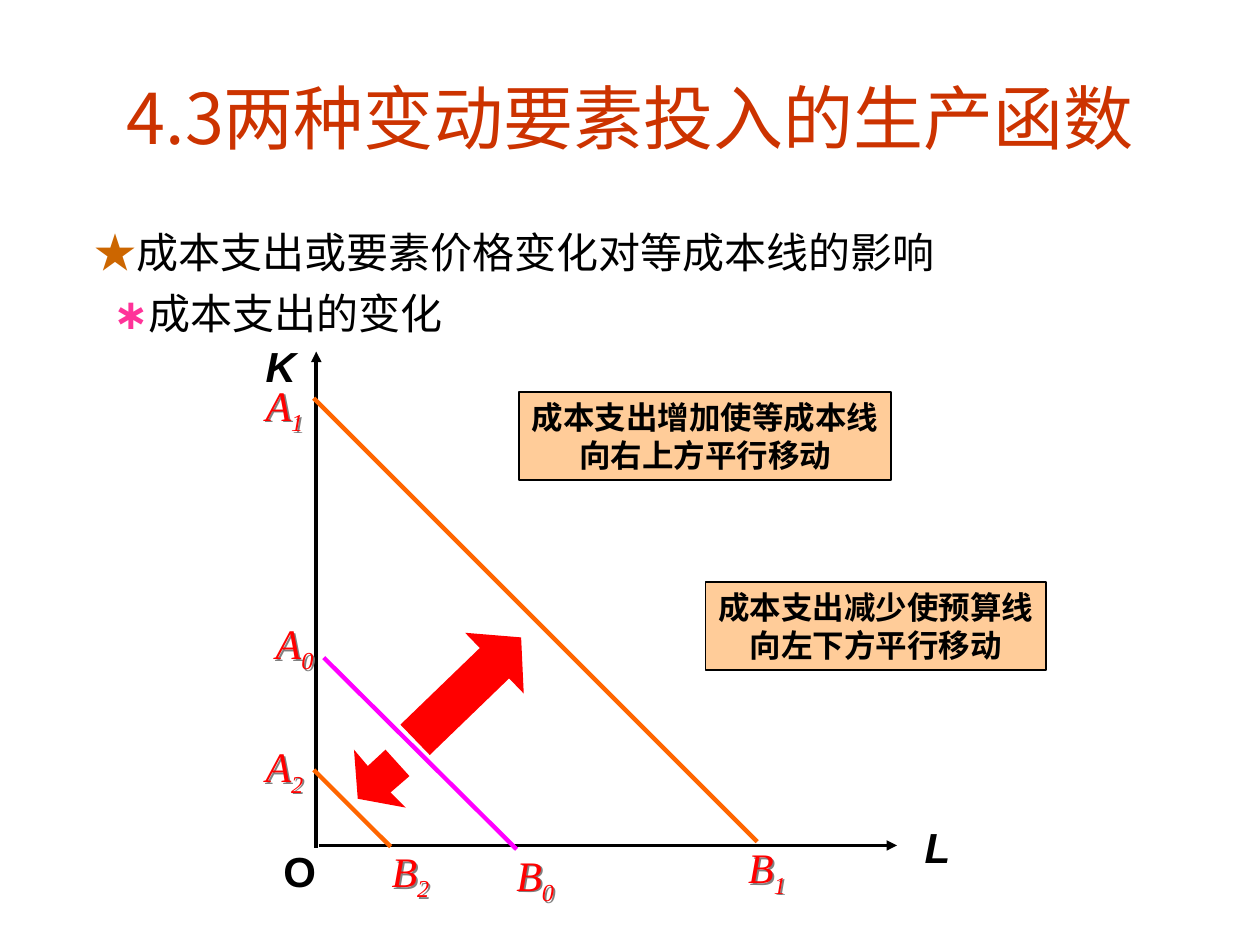
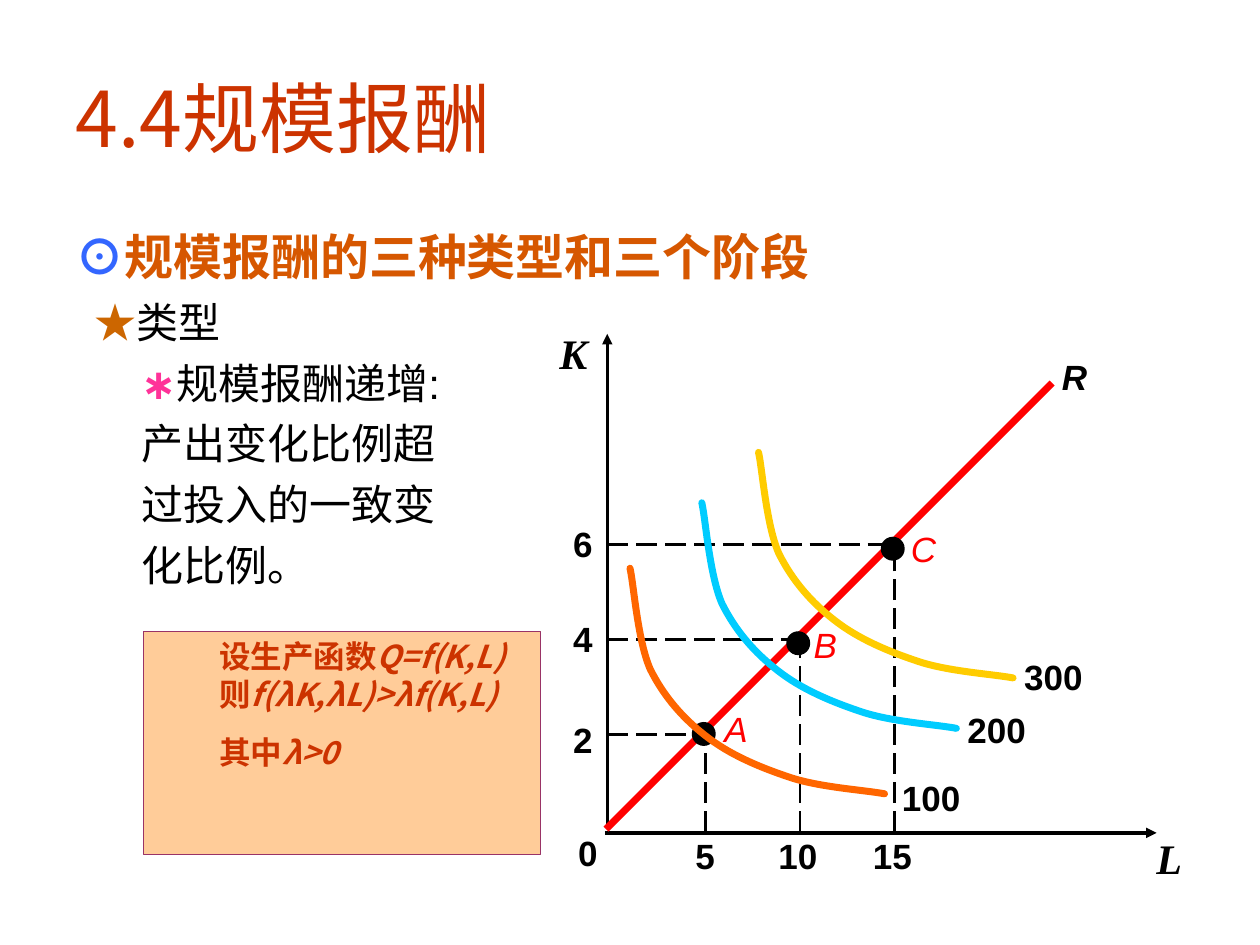
"""Build two slides on isocost shifts and returns to scale."""
from dataclasses import dataclass
from typing import NamedTuple, Optional

import pptx
import pptx.dml.color
import pptx.enum.dml
import pptx.enum.shapes
import pptx.enum.text
import pptx.oxml
import pptx.oxml.ns
import pptx.util
from pptx.util import Inches

MSO_SHAPE = pptx.enum.shapes.MSO_SHAPE
ALIGN = pptx.enum.text.PP_ALIGN
A_NS = 'xmlns:a="http://schemas.openxmlformats.org/drawingml/2006/main"'


@dataclass(frozen=True)
class Theme:
    """Colours, fonts and type sizes shared by the slides."""
    black: str = "000000"
    title: str = "CC3300"
    star: str = "CC6600"
    asterisk: str = "FF3399"
    circle: str = "3366FF"
    heading: str = "D65700"
    red: str = "FF0000"
    orange: str = "FF6600"
    magenta: str = "FF00FF"
    cyan: str = "00CCFF"
    yellow: str = "FFCC00"
    panel: str = "FFCC99"
    panel_edge: str = "993366"
    shadow: str = "808080"
    cjk: str = "Noto Sans CJK SC"
    sans: str = "Arial"
    serif: str = "Times New Roman"
    heading_size: int = 28
    body_size: int = 24
    tick_size: int = 20
    note_size: int = 18
    leading: float = 1.2


T = Theme()


class Run(NamedTuple):
    """A piece of text with one format."""
    text: str
    color: str = T.black
    font: str = T.sans
    bold: bool = False
    italic: bool = False
    sub: bool = False


class Item(NamedTuple):
    """A paragraph with its left indent in inches."""
    runs: list[Run]
    indent: float = 0
    size: int = T.body_size
    before: float = 6


class Label(NamedTuple):
    """A one-line text box."""
    runs: list[Run]
    x: float
    y: float
    w: float
    size: int = T.body_size
    align: Optional[ALIGN] = None
    wrap: bool = False
    spacing: Optional[float] = None
    shadow: bool = False


class Segment(NamedTuple):
    """A straight line between two points."""
    x1: float
    y1: float
    x2: float
    y2: float
    color: str = T.black
    width: float = 2
    dashed: bool = False
    arrow: bool = False


class Panel(NamedTuple):
    """A filled box of notes."""
    x: float
    y: float
    w: float
    h: float
    items: list[Item]
    edge: str = T.black
    edge_width: float = 1
    align: ALIGN = ALIGN.CENTER
    wrap: bool = False


class Mark(NamedTuple):
    """A point on the expansion ray with its tick labels."""
    name: str
    labor: str
    capital: str
    labor_x: float
    capital_y: float
    name_x: float
    name_y: float
    dot_y: float


class Isoquant(NamedTuple):
    """An output curve, shifted from the lowest one."""
    output: str
    dx: float
    dy: float
    color: str
    label_x: float
    label_y: float


def rgb(color: str) -> pptx.dml.color.RGBColor:
    """Turn a hex string into a colour."""
    return pptx.dml.color.RGBColor.from_string(color)


def add_run(p, run: Run, size: int) -> None:
    """Add one formatted run to a paragraph."""
    r = p.add_run()
    r.text = run.text
    f = r.font
    f.size, f.name, f.bold, f.italic = pptx.util.Pt(size), run.font, run.bold, run.italic
    f.color.rgb = rgb(run.color)
    rpr = r._r.get_or_add_rPr()
    rpr.append(pptx.oxml.parse_xml(f'<a:ea {A_NS} typeface="{T.cjk}"/>'))
    if run.sub:
        rpr.set("baseline", "-25000")


def fill_items(tf, items: list[Item], align: ALIGN = ALIGN.LEFT) -> None:
    """Write paragraphs into a text frame."""
    for i, item in enumerate(items):
        p = tf.add_paragraph() if i else tf.paragraphs[0]
        ppr = p._p.get_or_add_pPr()
        ppr.set("marL", str(Inches(item.indent)))
        ppr.set("indent", "0")
        ppr.append(pptx.oxml.parse_xml(f"<a:buNone {A_NS}/>"))
        p.alignment = align
        p.line_spacing = pptx.util.Pt(item.size * T.leading)
        p.space_before = pptx.util.Pt(item.before if i else 0)
        for run in item.runs:
            if run.text == "\v":
                p.add_line_break()
            else:
                add_run(p, run, item.size)


def add_page(prs, title: str, size: int, align: ALIGN, items: list[Item]):
    """Add a slide with its title and list."""
    s = prs.slides.add_slide(prs.slide_layouts[1])
    body = s.placeholders[1]
    for sp, y, h in ((s.shapes.title, 0.3, 1.25), (body, 1.75, 4.95)):
        sp.left, sp.top, sp.width, sp.height = Inches(0.5), Inches(y), Inches(9), Inches(h)
        sp.text_frame.word_wrap = True
        sp.text_frame.auto_size = pptx.enum.text.MSO_AUTO_SIZE.NONE
    p = s.shapes.title.text_frame.paragraphs[0]
    p.alignment = align
    add_run(p, Run(title, T.title, T.cjk), size)
    fill_items(body.text_frame, items)
    return s


def add_label(s, label: Label) -> None:
    """Draw a text box with one line."""
    height = 0.5 if label.size == T.body_size else 0.43
    sp = s.shapes.add_textbox(Inches(label.x), Inches(label.y), Inches(label.w), Inches(height))
    sp.text_frame.word_wrap = label.wrap
    p = sp.text_frame.paragraphs[0]
    p.alignment = label.align
    p.line_spacing = label.spacing
    for run in label.runs:
        add_run(p, run, label.size)
    if label.shadow:
        sp._element.spPr.append(pptx.oxml.parse_xml(
            f'<a:effectLst {A_NS}><a:outerShdw dist="17961" dir="2700000">'
            f'<a:srgbClr val="{T.shadow}"/></a:outerShdw></a:effectLst>'))


def add_segment(s, seg: Segment) -> None:
    """Draw a straight line, dashed or with an arrowhead if asked."""
    c = s.shapes.add_connector(pptx.enum.shapes.MSO_CONNECTOR.STRAIGHT,
                               *map(Inches, (seg.x1, seg.y1, seg.x2, seg.y2)))
    c.line.color.rgb = rgb(seg.color)
    c.line.width = pptx.util.Pt(seg.width)
    if seg.dashed:
        c.line.dash_style = pptx.enum.dml.MSO_LINE.LONG_DASH
    if seg.arrow:
        c.line._get_or_add_ln().append(pptx.oxml.parse_xml(f'<a:tailEnd {A_NS} type="triangle"/>'))
    c._element.spPr.append(pptx.oxml.parse_xml(f"<a:effectLst {A_NS}/>"))


def paint(sp, color: str) -> None:
    """Give a shape a plain fill without line or shadow."""
    sp.shadow.inherit = False
    sp.fill.solid()
    sp.fill.fore_color.rgb = rgb(color)
    sp.line.fill.background()


def add_panel(s, panel: Panel) -> None:
    """Draw a filled box of notes."""
    sp = s.shapes.add_shape(MSO_SHAPE.RECTANGLE, *map(Inches, panel[:4]))
    paint(sp, T.panel)
    sp.line.color.rgb = rgb(panel.edge)
    sp.line.width = pptx.util.Pt(panel.edge_width)
    sp.text_frame.word_wrap = panel.wrap
    sp.text_frame.vertical_anchor = pptx.enum.text.MSO_ANCHOR.TOP
    fill_items(sp.text_frame, panel.items, panel.align)


def add_outline(s, points: list[tuple[float, float]], close: bool):
    """Draw a freeform through points given in inches."""
    start, *rest = [(Inches(x), Inches(y)) for x, y in points]
    fb = s.shapes.build_freeform(*start, scale=1.0)
    fb.add_line_segments(rest, close=close)
    sp = fb.convert_to_shape()
    sp.shadow.inherit = False
    return sp


def add_curve(s, knots: list[tuple[float, float]], color: str) -> None:
    """Draw a chain of cubic curves with round ends."""
    sp = add_outline(s, knots, False)
    steps = list(sp._element.iter(pptx.oxml.ns.qn("a:lnTo")))
    for k in range(0, len(steps), 3):
        cubic = pptx.oxml.parse_xml(f"<a:cubicBezTo {A_NS}/>")
        steps[k].addprevious(cubic)
        for step in steps[k:k + 3]:
            cubic.append(step[0])
            step.getparent().remove(step)
    sp.fill.background()
    sp.line.color.rgb = rgb(color)
    sp.line.width = pptx.util.Pt(4)
    sp.line._get_or_add_ln().set("cap", "rnd")


def axis_labels(font: str, l_at: tuple[float, float], k_at: tuple[float, float]) -> list[Label]:
    """Name the labour and capital axes."""
    return [Label([Run("L", font=font, bold=True, italic=True)], *l_at, 0.4),
            Label([Run("K", font=font, bold=True, italic=True)], *k_at, 0.43, align=ALIGN.RIGHT)]


def tick(text: str, x: float, y: float, italic: bool = False) -> Label:
    """Make a bold label wide enough for its text."""
    return Label([Run(text, bold=True, italic=italic)], x, y, 0.2 + 0.155 * len(text), T.tick_size)


def build_isocost(prs) -> None:
    """Build the slide on shifts of the isocost line."""
    s = add_page(prs, "4.3两种变动要素投入的生产函数", 40, ALIGN.CENTER, [
        Item([Run("★", T.star, T.cjk), Run("成本支出或要素价格变化对等成本线的影响")], 0.15),
        Item([Run("∗", T.asterisk, T.cjk, True), Run("成本支出的变化")], 0.3)])
    for seg in (Segment(2.51, 6.73, 2.51, 2.79, arrow=True), Segment(2.53, 6.71, 7.12, 6.71, arrow=True),
                Segment(2.49, 6.11, 3.1, 6.72, T.orange, 2.5), Segment(2.57, 5.22, 4.1, 6.74, T.magenta, 2.5),
                Segment(2.49, 3.16, 6.01, 6.68, T.orange, 2.5)):
        add_segment(s, seg)
    for label in axis_labels(T.sans, (7.24, 6.47), (2.01, 2.65)):
        add_label(s, label)
    add_label(s, Label([Run("O", bold=True)], 2.15, 6.66, 0.46))
    for name, index, x, y in (("B", "2", 3.01, 6.66), ("A", "2", 2.01, 5.83), ("A", "0", 2.09, 4.85),
                              ("B", "0", 4, 6.69), ("A", "1", 2.01, 2.96), ("B", "1", 5.84, 6.63)):
        letter = Run(name, T.red, T.serif, italic=True)
        add_label(s, Label([letter, letter._replace(text=index, sub=True)], x, y, 0.7, wrap=True, shadow=True))
    paint(add_outline(s, [(2.81, 5.95), (2.92, 6.08), (3.06, 5.95), (3.25, 6.16),
                          (3.1, 6.29), (3.22, 6.41), (2.84, 6.34)], True), T.red)
    increase = s.shapes.add_shape(MSO_SHAPE.LEFT_ARROW, *map(Inches, (3.13, 5.13, 1.17, 0.67)))
    increase.adjustments[0], increase.adjustments[1] = 0.5, 0.44
    increase.rotation = 136
    paint(increase, T.red)
    for x, y, w, lines in ((5.6, 4.62, 2.7, ("成本支出减少使预算线", "向左下方平行移动")),
                           (4.12, 3.11, 2.95, ("成本支出增加使等成本线", "向右上方平行移动"))):
        add_panel(s, Panel(x, y, w, 0.7, [Item([Run(line, bold=True)], 0, T.note_size, 0) for line in lines]))


def build_returns(prs) -> None:
    """Build the slide on increasing returns to scale."""
    s = add_page(prs, "4.4规模报酬", 44, ALIGN.LEFT, [
        Item([Run("⊙", T.circle, T.cjk, True), Run("规模报酬的三种类型和三个阶段", T.heading, bold=True)],
             size=T.heading_size),
        Item([Run("★", T.star, T.cjk), Run("类型")], 0.15),
        Item([Run("∗", T.asterisk, T.cjk, True), Run("规模报酬递增:")], 0.52),
        *(Item([Run(line)], 0.52) for line in ("产出变化比例超", "过投入的一致变", "化比例。"))])
    for seg in (Segment(4.82, 6.58, 4.82, 2.65, arrow=True), Segment(4.8, 6.61, 9.18, 6.61, arrow=True),
                Segment(4.81, 6.58, 8.35, 3.04, T.red, 4)):
        add_segment(s, seg)
    for label in axis_labels(T.serif, (9.08, 6.56), (4.33, 2.55)):
        add_label(s, label)
    add_label(s, tick("0", 4.49, 6.55))
    add_label(s, tick("R", 8.33, 2.77, italic=True))

    marks = [Mark("A", "5", "2", 5.42, 5.65, 5.65, 5.5, 5.73), Mark("B", "10", "4", 6.08, 4.85, 6.36, 4.83, 5.01),
             Mark("C", "15", "6", 6.83, 4.1, 7.13, 4.07, 4.26)]
    for i, mark in enumerate(marks):
        x, y = 5.6 + 0.75 * i, 5.83 - 0.755 * i
        add_segment(s, Segment(4.82, y, x - 0.04, y, width=1.5, dashed=True))
        add_segment(s, Segment(x, 6.6, x, y + 0.03, width=1.5, dashed=True))
        dot = s.shapes.add_shape(MSO_SHAPE.OVAL, *map(Inches, (x - 0.11, mark.dot_y, 0.19, 0.19)))
        paint(dot, T.black)
        add_label(s, tick(mark.labor, mark.labor_x, 6.57))
        add_label(s, tick(mark.capital, 4.45, mark.capital_y))
        add_label(s, Label([Run(mark.name, T.red, italic=True)], mark.name_x, mark.name_y, 0.38,
                           T.tick_size, spacing=1.2))

    lowest = [(5, 4.51), (5.03, 4.64), (5.06, 5.08), (5.16, 5.31), (5.27, 5.53), (5.42, 5.7), (5.6, 5.84),
              (5.79, 5.99), (6.03, 6.09), (6.27, 6.17), (6.51, 6.25), (6.86, 6.27), (7.02, 6.3)]
    for q in (Isoquant("100", 0, 0, T.orange, 7.06, 6.11), Isoquant("200", 0.57, -0.52, T.cyan, 7.58, 5.57),
              Isoquant("300", 1.02, -0.92, T.yellow, 8.03, 5.15)):
        add_curve(s, [(x + q.dx, y + q.dy) for x, y in lowest], q.color)
        add_label(s, tick(q.output, q.label_x, q.label_y))

    words = Run("设生产函数", T.title, T.cjk, True)
    formula = words._replace(italic=True)
    add_panel(s, Panel(1.14, 5.01, 3.15, 1.77, [
        Item([words, formula._replace(text="Q=f(K,L)"), Run("\v"), words._replace(text="则"),
              formula._replace(text="f(λK,λL)>λf(K,L)")], 0.5, T.note_size),
        Item([words._replace(text="其中"), formula._replace(text="λ>0")], 0.5, T.note_size, 11.2)],
        T.panel_edge, 0.75, ALIGN.LEFT, True))


def main() -> None:
    """Build and save the presentation."""
    prs = pptx.Presentation()
    prs.slide_width, prs.slide_height = Inches(10), Inches(7.5)
    build_isocost(prs)
    build_returns(prs)
    prs.save("out.pptx")


if __name__ == "__main__":
    main()
